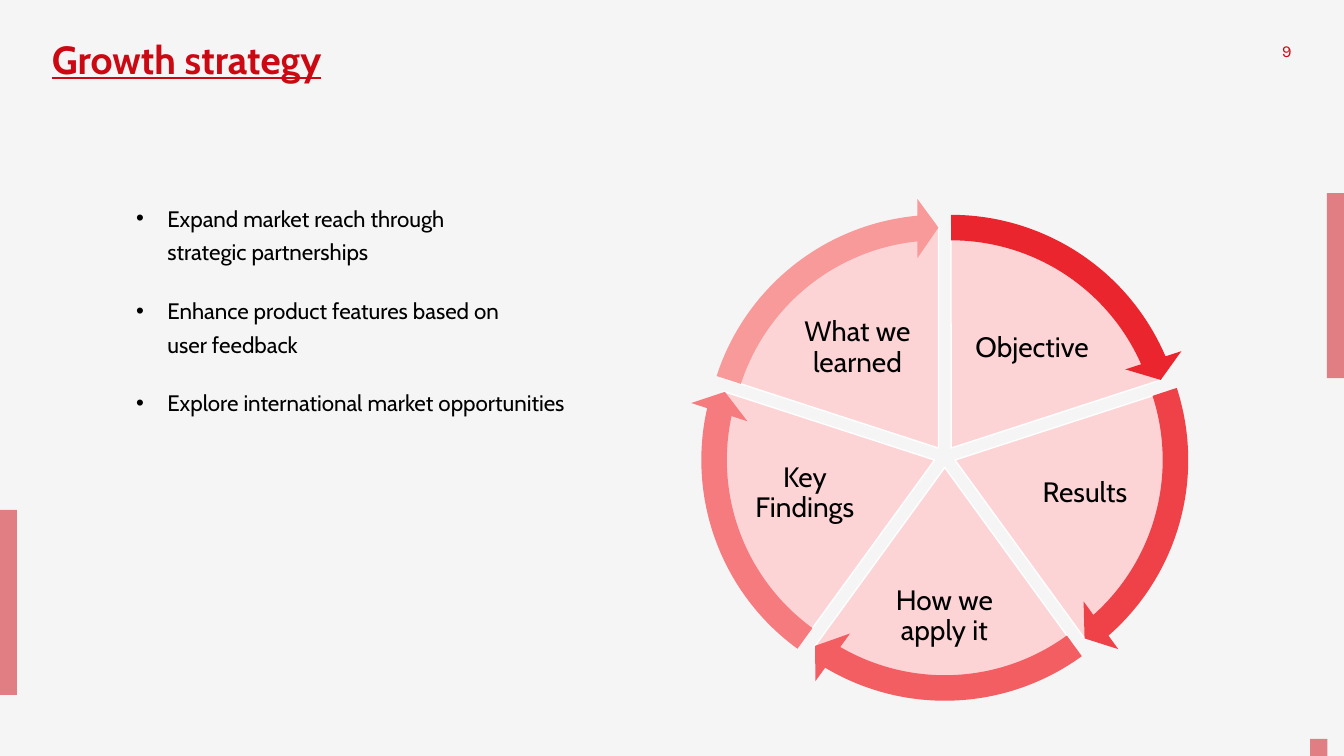
import math

import pptx
import pptx.util
from pptx.dml.color import RGBColor
from pptx.enum.shapes import MSO_SHAPE
from pptx.enum.text import MSO_ANCHOR, PP_ALIGN
from pptx.oxml.ns import qn
from pptx.util import Cm

RED = RGBColor(0xCC, 0x09, 0x12)
BLACK = RGBColor(0, 0, 0)
WHITE = RGBColor(0xFF, 0xFF, 0xFF)
PAPER = RGBColor(0xF5, 0xF5, 0xF5)
PINK = RGBColor(0xFD, 0xD4, 0xD6)


def add_shape(kind, x, y, w, h, color):
    s = slide.shapes.add_shape(kind, Cm(x), Cm(y), Cm(w), Cm(h))
    s.shadow.inherit = False
    s.fill.solid()
    s.fill.fore_color.rgb = color
    s.line.fill.background()
    return s


def add_text(paragraphs, x, y, w, h, size, color, spacing=1.0, font="Cabin"):
    tf = slide.shapes.add_textbox(Cm(x), Cm(y), Cm(w), Cm(h)).text_frame
    tf.word_wrap = True
    tf.text = "\n".join(paragraphs)
    for p in tf.paragraphs:
        p.line_spacing = spacing
        for r in p.runs:
            r.font.name = font
            r.font.size = pptx.util.Pt(size)
            r.font.color.rgb = color
    return tf


prs = pptx.Presentation()
prs.slide_width, prs.slide_height = Cm(33.87), Cm(19.05)
slide = prs.slides.add_slide(prs.slide_layouts[6])
slide.background.fill.solid()
slide.background.fill.fore_color.rgb = PAPER

# Half-transparent edge bars
for x, y, h in [(33.44, 4.87, 4.66), (0, 12.85, 4.66), (33.02, 18.62, 0.43)]:
    bar = add_shape(MSO_SHAPE.RECTANGLE, x, y, 0.43, h, RED)
    srgb = bar.fill._xPr.find(qn("a:solidFill")).find(qn("a:srgbClr"))
    srgb.append(srgb.makeelement(qn("a:alpha"), {"val": "50000"}))

# Title
tf = add_text(["Growth strategy"], 1.06, 0.89, 13.92, 3.1, 28, RED, 0.9)
title_font = tf.paragraphs[0].runs[0].font
title_font.bold = True
title_font.underline = True

# Slide number
tf = add_text(["9"], 31.5, 0.89, 1.3, 1.02, 12, RED, font="Karla")
tf.paragraphs[0].alignment = PP_ALIGN.RIGHT

# Bullet list
tf = add_text([
    "Expand market reach through\vstrategic partnerships",
    "Enhance product features based on\vuser feedback",
    "Explore international market opportunities",
], 3.18, 4.87, 11.81, 12.42, 16, BLACK, 1.25)
for p in tf.paragraphs:
    p.space_after = pptx.util.Pt(18)
    pPr = p._p.get_or_add_pPr()
    pPr.set("marL", str(Cm(0.79)))
    pPr.set("indent", str(-Cm(0.79)))
    font = pPr.makeelement(qn("a:buFont"), {"typeface": "Arial"})
    bullet = pPr.makeelement(qn("a:buChar"), {"char": "•"})
    pPr.extend([font, bullet])

# Cycle: label, its box, arrow colour; clockwise from the top
SEGMENTS = [
    ("Objective", 24.21, 7.57, 3.6, 2.4, RGBColor(0xEA, 0x25, 0x2E)),
    ("Results", 25.68, 11.1, 3.33, 2.67, RGBColor(0xEE, 0x41, 0x48)),
    ("How we apply it", 22.2, 14.05, 3.2, 2.95, RGBColor(0xF2, 0x5E, 0x62)),
    ("Key Findings", 18.62, 11.1, 3.33, 2.67, RGBColor(0xF5, 0x7B, 0x7E)),
    ("What we learned", 19.81, 7.57, 3.6, 2.4, RGBColor(0xF8, 0x99, 0x9A)),
]
CENTER_X, CENTER_Y = 23.81, 11.51
GAP = 0.27  # outward shift of each segment
PIE, RING = 11.2, 12.6
STEP = 360 / len(SEGMENTS)
UNIT = 0.6  # adjustment units per degree

arcs = []
for i, (label, x, y, w, h, color) in enumerate(SEGMENTS):
    start = (270 + i * STEP) % 360
    end = (start + STEP) % 360
    middle = math.radians(start + STEP / 2)
    arcs.append((CENTER_X + GAP * math.cos(middle),
                 CENTER_Y + GAP * math.sin(middle), start, end, color))

# Pie slices with labels
for (label, x, y, w, h, color), (cx, cy, start, end, color) in zip(SEGMENTS, arcs):
    pie = add_shape(MSO_SHAPE.PIE, cx - PIE / 2, cy - PIE / 2, PIE, PIE, PINK)
    pie.adjustments[0] = start * UNIT
    pie.adjustments[1] = end * UNIT
    pie.line.color.rgb = WHITE
    pie.line.width = pptx.util.Pt(1)
    tf = add_text([label], x, y, w, h, 20, BLACK, 0.9)
    tf.margin_left = tf.margin_right = tf.margin_top = tf.margin_bottom = 0
    tf.vertical_anchor = MSO_ANCHOR.MIDDLE
    tf.paragraphs[0].alignment = PP_ALIGN.CENTER

# Arrows around the slices
HEAD = 3.275
for cx, cy, start, end, color in arcs:
    arrow = add_shape(MSO_SHAPE.CIRCULAR_ARROW, cx - RING / 2, cy - RING / 2,
                      RING, RING, color)
    values = [0.051, HEAD, end * UNIT - HEAD, start * UNIT, 0.059]
    for i, value in enumerate(values):
        arrow.adjustments[i] = value

prs.save("out.pptx")
